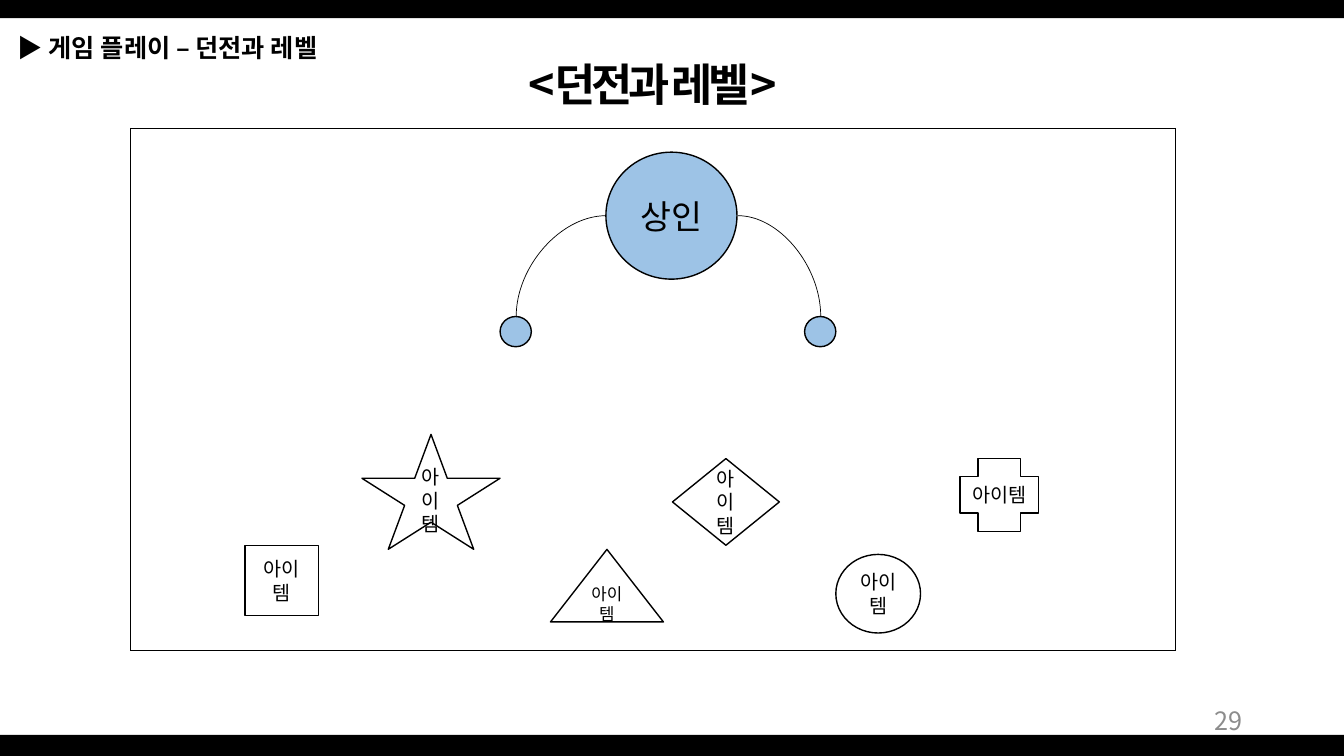
from dataclasses import dataclass

from lxml import etree
from pptx import Presentation
from pptx import util as u
from pptx.dml.color import RGBColor
from pptx.enum import shapes, text
from pptx.oxml.ns import qn

Geo = shapes.MSO_SHAPE
Line = shapes.MSO_CONNECTOR
Align = text.PP_ALIGN
Anchor = text.MSO_ANCHOR
PX = 9144  # one hundredth of an inch
WIDE, HIGH = 1333, 750


@dataclass(frozen=True)
class Theme:
    font: str = "Noto Sans CJK KR"
    ink: str = "000000"
    paper: str = "FFFFFF"
    blue: str = "9DC3E6"
    gray: str = "8C8C8C"
    title: int = 32
    actor: int = 24
    head: int = 18
    item: int = 14
    small: int = 12


class Board:
    def __init__(self, slide, theme):
        self.slide = slide
        self.theme = theme

    def style(self, font, size, color, bold=False, track=0):
        font.name, font.size, font.bold = self.theme.font, u.Pt(size), bold
        font.color.rgb = RGBColor.from_string(color)
        props = font._element
        if track:
            props.set("spc", str(track * 100))
        asian = etree.Element(qn("a:ea"), typeface=self.theme.font)
        props.find(qn("a:latin")).addnext(asian)

    def words(self, shape, words, size, color=None, align=Align.CENTER,
              anchor=Anchor.MIDDLE, bold=False, track=0):
        frame = shape.text_frame
        frame.word_wrap = True
        frame.vertical_anchor = anchor
        para = frame.paragraphs[0]
        para.text, para.alignment = words, align
        self.style(para.font, size, color or self.theme.ink, bold, track)
        return para

    def title(self, words, *box):
        shape = self.slide.shapes.title
        shape.left, shape.top, shape.width, shape.height = (v * PX for v in box)
        self.words(shape, words, self.theme.title, anchor=Anchor.TOP,
                   bold=True, track=-3)
        shape.text_frame.auto_size = text.MSO_AUTO_SIZE.NONE

    def label(self, words, *box, **look):
        shape = self.slide.shapes.add_textbox(*(v * PX for v in box))
        return self.words(shape, words, self.theme.head, **look)

    def shape(self, kind, box, fill, words="", size=0, edge=True):
        shape = self.slide.shapes.add_shape(kind, *(v * PX for v in box))
        shape.shadow.inherit = False
        shape.fill.solid()
        shape.fill.fore_color.rgb = RGBColor.from_string(fill)
        if edge:
            shape.line.color.rgb = RGBColor.from_string(self.theme.ink)
            shape.line.width = u.Pt(1)
        else:
            shape.line.fill.background()
        if words:
            self.words(shape, words, size)

    def line(self, start, end, kind=Line.STRAIGHT):
        line = self.slide.shapes.add_connector(
            kind, *(v * PX for v in (*start, *end)))
        line.line.color.rgb = RGBColor.from_string(self.theme.ink)
        line.line.width = u.Pt(0.5)
        props = line._element.spPr
        etree.SubElement(props, qn("a:effectLst"))
        if kind == Line.CURVE:  # quarter bend
            props.find(qn("a:prstGeom")).set("prst", "curvedConnector2")


def main():
    deck = Presentation()
    deck.slide_width, deck.slide_height = WIDE * PX, HIGH * PX
    theme = Theme()
    board = Board(deck.slides.add_slide(deck.slide_layouts[5]), theme)

    # Bands and headings
    for top, high in ((729, 22), (0, 18)):
        board.shape(Geo.RECTANGLE, (0, top, WIDE, high), theme.ink, edge=False)
    board.title("<던전과 레벨>", 478, 51, 338, 64)
    board.label("29", 942, 695, 300, 40, color=theme.gray, align=Align.RIGHT)
    head = board.label("▶ ", 8, 27, 413, 40, align=Align.LEFT,
                       anchor=Anchor.TOP)
    run = head.add_run()
    run.text = "게임 플레이 – 던전과 레벨"
    run.font.bold = True

    # Room frame
    left, top, right, base = 129, 127, 1166, 645
    for x in (left, right):
        board.line((x, top), (x, base))
    for y in (top, base):
        board.line((left, y), (right, y))

    # Merchant with two hands
    board.shape(Geo.OVAL, (601, 151, 130, 126), theme.blue, "상인", theme.actor)
    for side, hand in ((601, 512), (732, 814)):
        board.line((side, 214), (hand, 314), Line.CURVE)
        board.shape(Geo.OVAL, (hand - 16, 314, 31, 30), theme.blue)

    # Items on sale
    items = (
        (Geo.OVAL, (829, 550, 84, 78), theme.item),
        (Geo.RECTANGLE, (243, 541, 73, 70), theme.item),
        (Geo.ISOSCELES_TRIANGLE, (546, 545, 112, 72), theme.small),
        (Geo.STAR_5_POINT, (359, 431, 137, 114), theme.item),
        (Geo.CROSS, (952, 455, 78, 72), theme.item),
        (Geo.FLOWCHART_DECISION, (667, 455, 106, 86), theme.item),
    )
    for kind, box, size in items:
        board.shape(kind, box, theme.paper, "아이템", size)

    deck.save("out.pptx")


if __name__ == "__main__":
    main()
